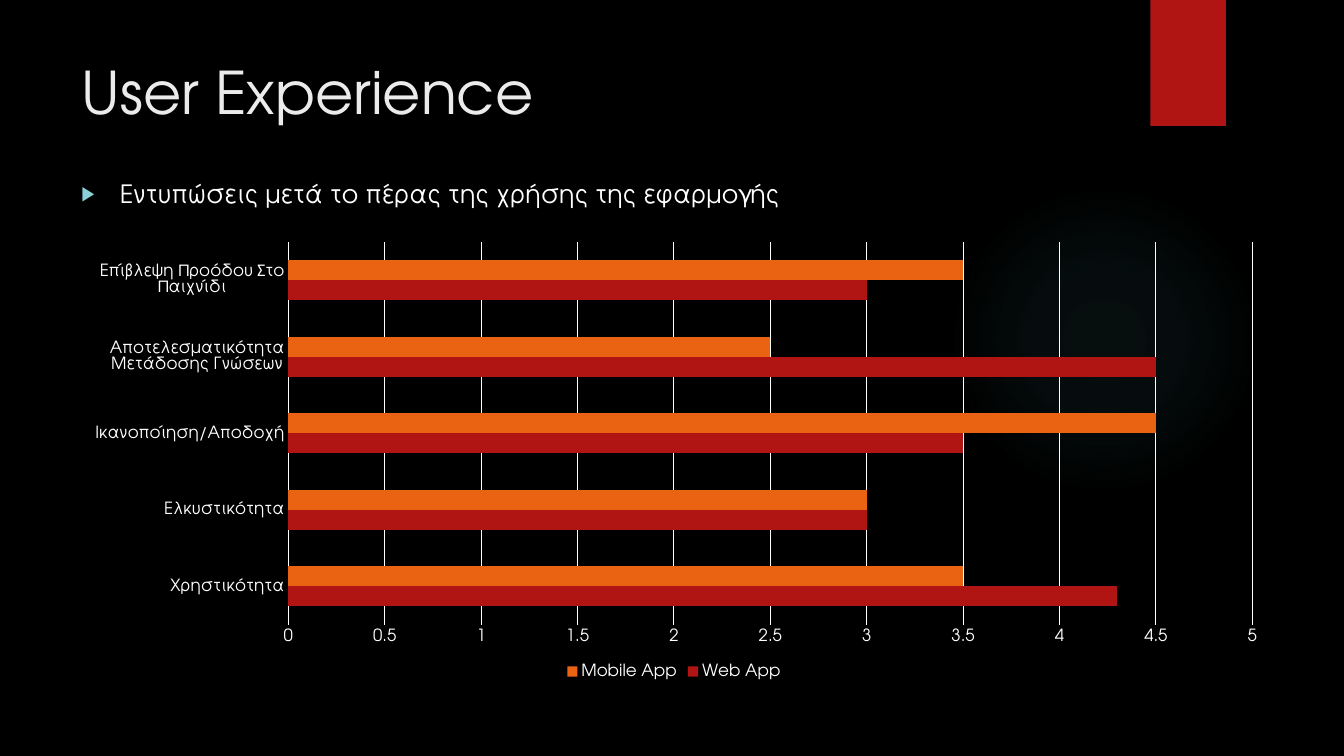
"""Build the User Experience slide with its clustered bar chart."""
import pptx
import pptx.chart.data
import pptx.dml.color
import pptx.enum.chart
import pptx.enum.shapes
import pptx.enum.text
import pptx.oxml
import pptx.oxml.ns
import pptx.util

EMU_PER_PX = 9144
FONT = "TeX Gyre Adventor"
RGBColor = pptx.dml.color.RGBColor
BLACK = RGBColor(0x00, 0x00, 0x00)
WHITE = RGBColor(0xFF, 0xFF, 0xFF)
PALE = RGBColor(0xEB, 0xEB, 0xEB)
RED = RGBColor(0xB0, 0x15, 0x13)
ORANGE = RGBColor(0xEA, 0x63, 0x12)
TEAL = RGBColor(0x50, 0xB9, 0xC1)
AQUA = RGBColor(0x8A, 0xD0, 0xD6)

GLOW_STOPS = ((0, 7), (36, 6), (69, 0))
CATEGORIES = (
    "Χρηστικότητα",
    "Ελκυστικότητα",
    "Ικανοποίηση/Αποδοχή",
    "Αποτελεσματικότητα Μετάδοσης Γνώσεων",
    "Επίβλεψη Προόδου Στο Παιχνίδι",
)
SERIES = (
    ("Web App", (4.3, 3, 3.5, 4.5, 3), RED),
    ("Mobile App", (3.5, 3, 4.5, 2.5, 3.5), ORANGE),
)
PLOT_AREA = {"x": 0.18, "y": 0.02, "w": 0.8, "h": 0.85}


def px(*lengths):
    return [pptx.util.Emu(length * EMU_PER_PX) for length in lengths]


def apply(target, values):
    for name, value in values.items():
        setattr(target, name, value)


def parse_xml(prefix, markup):
    tag, rest = markup.split(" ", 1)
    return pptx.oxml.parse_xml(f"<{tag} {pptx.oxml.ns.nsdecls(prefix)} {rest}")


def format_font(font, size, color):
    apply(font, {"name": FONT, "size": pptx.util.Pt(size)})
    font.color.rgb = color


def place(item, bounds):
    apply(item, dict(zip(("left", "top", "width", "height"), px(*bounds))))


def fill_text(box, text, size, color, bullet=()):
    frame = box.text_frame
    apply(frame, {
        "word_wrap": True,
        "auto_size": pptx.enum.text.MSO_AUTO_SIZE.NONE,
        "vertical_anchor": pptx.enum.text.MSO_ANCHOR.TOP,
    })
    para = frame.paragraphs[0]
    para.alignment = pptx.enum.text.PP_ALIGN.LEFT
    properties = para._p.get_or_add_pPr()
    for markup in bullet:
        properties.append(parse_xml("a", markup))
    span = para.add_run()
    span.text = text
    format_font(span.font, size, color)
    return properties


def add_bullet_line(page, bounds, text):
    box = page.shapes.add_textbox(*px(*bounds))
    bullet = (
        f'a:buClr ><a:srgbClr val="{AQUA}"/></a:buClr>',
        'a:buSzPct val="80000"/>',
        'a:buFont typeface="Arial"/>',
        'a:buChar char="▶"/>',
    )
    properties = fill_text(box, text, 18, WHITE, bullet)
    indent = px(38)[0]
    properties.set("marL", str(indent))
    properties.set("indent", str(-indent))


def add_plain_shape(page, kind, bounds, color):
    shape = page.shapes.add_shape(kind, *px(*bounds))
    shape.shadow.inherit = False
    shape.fill.solid()
    shape.fill.fore_color.rgb = color
    shape.line.fill.background()
    return shape


def add_glow(page, bounds):
    oval = pptx.enum.shapes.MSO_SHAPE.OVAL
    shape = add_plain_shape(page, oval, bounds, TEAL)
    stops = "".join(
        f'<a:gs pos="{position * 1000}"><a:srgbClr val="{TEAL}">'
        f'<a:alpha val="{alpha * 1000}"/></a:srgbClr></a:gs>'
        for position, alpha in GLOW_STOPS
    )
    gradient = parse_xml("a", (
        f'a:gradFill rotWithShape="1"><a:gsLst>{stops}</a:gsLst>'
        '<a:path path="circle"><a:fillToRect l="50000" t="50000" '
        'r="50000" b="50000"/></a:path></a:gradFill>'
    ))
    solid = shape._element.spPr.find(pptx.oxml.ns.qn("a:solidFill"))
    solid.getparent().replace(solid, gradient)


def format_axes(chart):
    ticks = pptx.enum.chart.XL_TICK_MARK
    for axis in (chart.category_axis, chart.value_axis):
        apply(axis, {"major_tick_mark": ticks.NONE, "minor_tick_mark": ticks.NONE})
        format_font(axis.tick_labels.font, 12, WHITE)
    values = chart.value_axis
    apply(values, {"minimum_scale": 0, "maximum_scale": 5, "major_unit": 0.5,
                   "has_major_gridlines": True})
    values.format.line.fill.background()
    for line in (chart.category_axis.format.line, values.major_gridlines.format.line):
        line.color.rgb = WHITE
        line.width = pptx.util.Pt(0.75)


def set_plot_layout(chart):
    area = chart._chartSpace.chart.plotArea
    for layout in area.findall(pptx.oxml.ns.qn("c:layout")):
        area.remove(layout)
    sizes = "".join(f'<c:{key} val="{value}"/>' for key, value in PLOT_AREA.items())
    area.insert(0, parse_xml("c", (
        'c:layout ><c:manualLayout><c:layoutTarget val="inner"/>'
        '<c:xMode val="edge"/><c:yMode val="edge"/>'
        f'{sizes}</c:manualLayout></c:layout>'
    )))


def add_bar_chart(page, bounds):
    data = pptx.chart.data.CategoryChartData()
    data.categories = CATEGORIES
    for name, values, _ in SERIES:
        data.add_series(name, values)
    kind = pptx.enum.chart.XL_CHART_TYPE.BAR_CLUSTERED
    chart = page.shapes.add_chart(kind, *px(*bounds), data).chart
    apply(chart, {"has_title": False, "has_legend": True})
    format_font(chart.font, 10, WHITE)
    apply(chart.legend, {
        "position": pptx.enum.chart.XL_LEGEND_POSITION.BOTTOM,
        "include_in_layout": False,
    })
    format_font(chart.legend.font, 12, WHITE)
    plot = chart.plots[0]
    apply(plot, {"gap_width": 182, "overlap": 0, "vary_by_categories": False})
    for series, (_, _, color) in zip(plot.series, SERIES):
        series.format.fill.solid()
        series.format.fill.fore_color.rgb = color
    format_axes(chart)
    set_plot_layout(chart)


def main():
    deck = pptx.Presentation()
    deck.slide_width, deck.slide_height = px(1333, 750)
    page = deck.slides.add_slide(deck.slide_layouts[5])
    page.background.fill.solid()
    page.background.fill.fore_color.rgb = BLACK
    add_glow(page, (941, 183, 308, 308))
    rectangle = pptx.enum.shapes.MSO_SHAPE.RECTANGLE
    add_plain_shape(page, rectangle, (1141, 0, 75, 125), RED)
    add_bullet_line(page, (71, 172, 949, 60),
                    "Εντυπώσεις μετά το πέρας της χρήσης της εφαρμογής")
    title = page.shapes.title
    place(title, (71, 50, 1029, 104))
    fill_text(title, "User Experience", 42, PALE)
    add_bar_chart(page, (71, 231, 1195, 447))
    deck.save("out.pptx")


if __name__ == "__main__":
    main()
